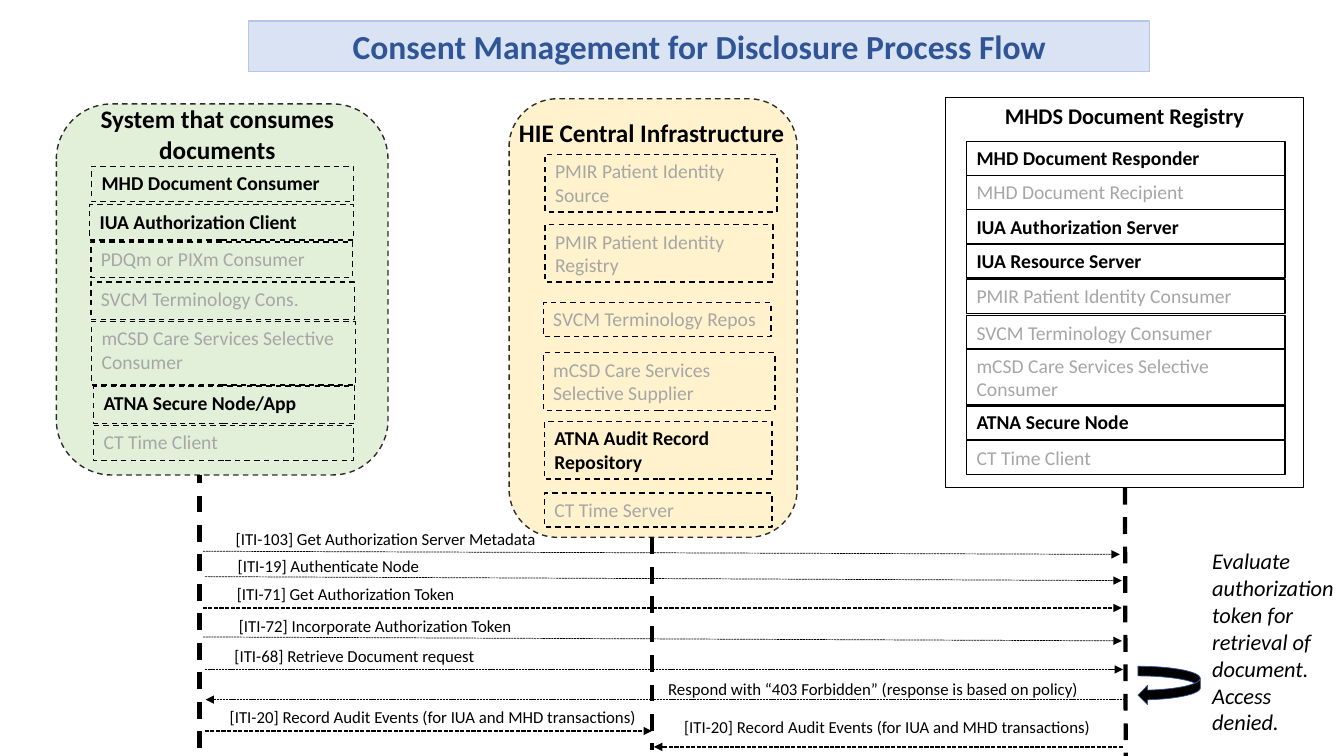
from lxml.etree import SubElement
from pptx import Presentation
from pptx.dml.color import RGBColor
from pptx.enum.dml import MSO_LINE as Dash
from pptx.enum.shapes import MSO_CONNECTOR as Link, MSO_SHAPE as Preset
from pptx.enum.text import MSO_ANCHOR as Anchor, PP_ALIGN as Align
from pptx.oxml.ns import qn
from pptx.util import Cm, Pt

BLACK, GREY = "000000", "A6A6A6"


def colour(hex_text):
    """Turn a hex string into a colour."""
    return RGBColor.from_string(hex_text)


def write(frame, text, size=14, ink=BLACK, bold=False, italic=False, align=Align.LEFT, wrap=True):
    """Fill a text frame with one formatted paragraph."""
    frame.word_wrap = wrap
    frame.vertical_anchor = Anchor.TOP
    paragraph = frame.paragraphs[0]
    paragraph.alignment = align
    run = paragraph.add_run()
    run.text = text
    font = run.font
    font.name, font.size, font.bold, font.italic = "Calibri", Pt(size), bold, italic
    font.color.rgb = colour(ink)


class FlowSlide:
    """Draws the elements of the process flow on the current slide."""

    def __init__(self, slide):
        """Start drawing on the given slide."""
        self.slide = slide
        self.canvas = slide.shapes

    def start_group(self):
        """Collect the following elements in a group."""
        self.canvas = self.slide.shapes.add_group_shape().shapes

    def end_group(self):
        """Draw directly on the slide again."""
        self.canvas = self.slide.shapes

    def outline(self, line, ink, weight, dash=None):
        """Style a line."""
        line.color.rgb = colour(ink)
        line.width = Pt(weight)
        if dash:
            line.dash_style = dash

    def box(self, place, text="", preset=Preset.RECTANGLE, fill=None, edge=BLACK,
            weight=1, dash=None, opacity=None, flip=False, **text_format):
        """Add a preset shape with optional text."""
        shape = self.canvas.add_shape(preset, *map(Cm, place))
        shape.shadow.inherit = False
        if fill:
            shape.fill.solid()
            shape.fill.fore_color.rgb = colour(fill)
        else:
            shape.fill.background()
        self.outline(shape.line, edge, weight, dash)
        properties = shape._element.spPr
        if opacity:
            ink = properties.find(qn("a:ln")).find(".//" + qn("a:srgbClr"))
            SubElement(ink, qn("a:alpha"), val=str(opacity * 1000))
        if flip:
            properties.find(qn("a:xfrm")).set("flipH", "1")
        if text:
            write(shape.text_frame, text, **text_format)

    def label(self, place, text, **text_format):
        """Add a plain text box."""
        write(self.canvas.add_textbox(*map(Cm, place)).text_frame, text, **text_format)

    def line(self, ends, weight, dash, arrow=False):
        """Add a straight line, with an arrowhead if asked."""
        connector = self.canvas.add_connector(Link.STRAIGHT, *map(Cm, ends))
        self.outline(connector.line, BLACK, weight, dash)
        properties = connector._element.spPr
        if arrow:
            SubElement(properties.find(qn("a:ln")), qn("a:tailEnd"), type="triangle")
        SubElement(properties, qn("a:effectLst"))

    def roles(self, entries, dash=None):
        """Add the role boxes of an actor, with the active ones in bold."""
        for text, active, *place in entries:
            self.box(place, text, dash=dash, bold=active, ink=BLACK if active else GREY)


CONSUMER_ROLES = [
    ("MHD Document Consumer", True, 2.31, 4.19, 6.6, 0.89),
    ("IUA Authorization Client", True, 2.26, 5.16, 6.65, 0.89),
    ("PDQm or PIXm Consumer", False, 2.29, 6.1, 6.6, 0.89),
    ("SVCM Terminology Cons.", False, 2.29, 7.11, 6.65, 0.94),
    ("mCSD Care Services Selective Consumer", False, 2.31, 8.1, 6.65, 1.6),
    ("ATNA Secure Node/App", True, 2.36, 9.73, 6.58, 0.94),
    ("CT Time Client", False, 2.36, 10.72, 6.55, 0.89),
]
CENTRAL_ROLES = [
    ("PMIR Patient Identity Source", False, 13.74, 3.89, 5.84, 1.45),
    ("PMIR Patient Identity Registry", False, 13.74, 5.66, 5.74, 1.45),
    ("SVCM Terminology Repos", False, 13.69, 7.62, 5.74, 0.86),
    ("mCSD Care Services Selective Supplier", False, 13.69, 8.89, 5.84, 1.45),
    ("ATNA Audit Record Repository", True, 13.72, 10.62, 5.74, 1.45),
    ("CT Time Server", False, 13.72, 12.42, 5.74, 0.86),
]
REGISTRY_ROLES = [
    (text, active, 24.36, top, 8.03, height)
    for text, active, top, height in [
        ("MHD Document Responder", True, 3.56, 0.86),
        ("MHD Document Recipient", False, 4.42, 0.86),
        ("IUA Authorization Server", True, 5.28, 0.86),
        ("IUA Resource Server", True, 6.15, 0.86),
        ("PMIR Patient Identity Consumer", False, 7.04, 0.86),
        ("SVCM Terminology Consumer", False, 7.95, 0.86),
        ("mCSD Care Services Selective Consumer", False, 8.79, 1.45),
        ("ATNA Secure Node", True, 10.21, 0.86),
        ("CT Time Client", False, 11.1, 0.86),
    ]
]
AUDIT = "[ITI-20] Record Audit Events (for IUA and MHD transactions)"
MESSAGES = [
    ("[ITI-103] Get Authorization Server Metadata", (5.69, 13.21, 8.33), (5.11, 13.89, 28.22, 13.97), 0.5),
    ("[ITI-19] Authenticate Node", (5.74, 13.87, 7.26), (5.16, 14.53, 28.27, 14.63), 0.5),
    ("[ITI-71] Get Authorization Token", (5.72, 14.58, 7.26), (5.11, 15.32, 28.27, 15.32), 1),
    ("[ITI-72] Incorporate Authorization Token", (5.77, 15.39, 9.37), (5.11, 16.05, 28.27, 16.15), 0.5),
    ("[ITI-68] Retrieve Document request", (5.66, 16.15, 7.26), (5.16, 16.87, 28.3, 16.87), 0.5),
    ("Respond with “403 Forbidden” (response is based on policy)",
     (16.59, 16.99, 11.71), (28.35, 17.63, 5.18, 17.63), 0.5),
    (AUDIT, (5.54, 17.68, 11.63), (5.16, 18.42, 16.43, 18.42), 1),
    (AUDIT, (16.99, 17.93, 11.63), (28.3, 18.82, 16.48, 18.82), 1),
]
LIFELINES = [(5.03, 9.52, 5.03, 19.05), (16.43, 13.54, 16.43, 18.9), (28.35, 12.29, 28.37, 19.18)]

deck = Presentation()
deck.slide_width, deck.slide_height = Cm(33.87), Cm(19.05)
flow = FlowSlide(deck.slides.add_slide(deck.slide_layouts[6]))

flow.box((6.27, 0.53, 22.71, 1.27), "Consent Management for Disclosure Process Flow", fill="DAE3F3",
         edge="B4C7E7", weight=0.75, size=24, ink="2F5597", bold=True, align=Align.CENTER)
for lifeline in LIFELINES:
    flow.line(lifeline, 3, Dash.DASH)

rounded = dict(preset=Preset.ROUNDED_RECTANGLE, dash=Dash.DASH, opacity=81)
flow.box((12.83, 2.49, 7.26, 11.05), fill="FFF2CC", **rounded)
flow.label((12.83, 2.84, 7.26, 1.02), "HIE Central Infrastructure", size=18, bold=True, wrap=False)
flow.roles(CENTRAL_ROLES, Dash.DASH)

flow.box((23.83, 2.46, 9.02, 9.83), "MHDS Document Registry", size=16, bold=True, align=Align.CENTER)
flow.roles(REGISTRY_ROLES)

flow.start_group()
flow.box((1.42, 2.62, 8.36, 9.35), fill="E2F0D9", **rounded)
flow.label((1.02, 2.49, 8.92, 1.85), "System that consumes documents", size=18, bold=True, align=Align.CENTER)
flow.roles(CONSUMER_ROLES, Dash.DASH)
flow.end_group()

for message, label_place, ends, weight in MESSAGES:
    flow.line(ends, weight, Dash.SQUARE_DOT, arrow=True)
    flow.label((*label_place, 0.77), message, size=12)

flow.box((28.68, 16.79, 1.57, 0.97), preset=Preset.CURVED_RIGHT_ARROW, fill=BLACK,
         edge="325491", weight=0.5, flip=True)
flow.label((30.3, 13.67, 3.66, 5.05),
           "Evaluate authorization token for retrieval of document. Access denied.", size=16, italic=True)

deck.save("out.pptx")
